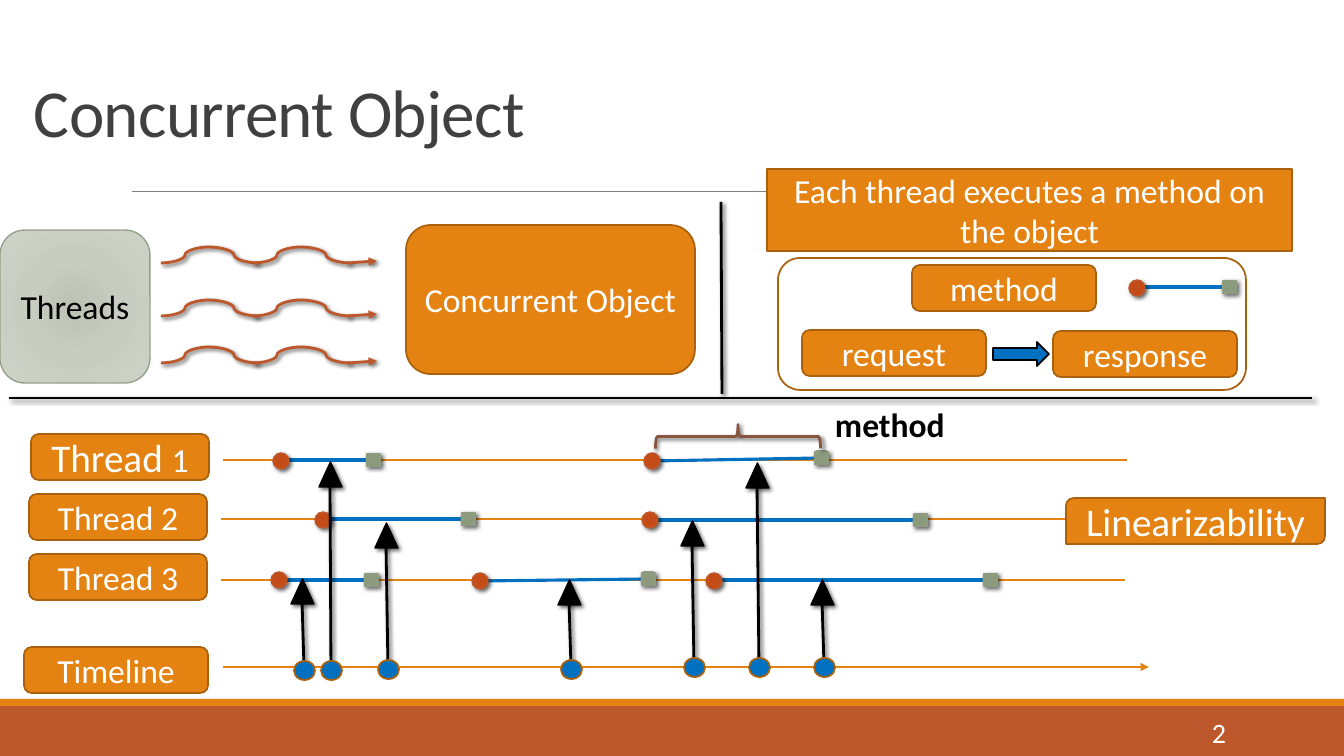
from lxml.etree import SubElement
from pptx import Presentation
from pptx.dml.color import RGBColor
from pptx.enum.shapes import MSO_CONNECTOR, MSO_SHAPE
from pptx.enum.text import MSO_ANCHOR, PP_ALIGN
from pptx.oxml import parse_xml
from pptx.oxml.ns import nsdecls, qn
from pptx.util import Pt

EMU_PER_PX = 914400 / 100.8
ORANGE, EDGE, RUST, BLUE, BLACK, WHITE = (
    "E48312", "A9610D", "BD582C", "0070C0", "000000", "FFFFFF")
RED_STOPS = [(0, "C44A15"), (34, "C34C18"), (70, "C94C15"), (100, "C45525")]
GREEN_STOPS = [(0, "8A987B"), (34, "8B997D"), (70, "8D9C7E"), (100, "94A187")]
PALE_STOPS = [(0, "BBC3B5"), (45, "C7CDC1"), (100, "CDD4C7")]

THREAD_ROWS = [
    (460, 223, (31, 434, 178, 46), [(281, 461, 373, 460), (652, 461, 821, 458)]),
    (519, 221, (29, 494, 178, 46), [(323, 520, 468, 519), (650, 520, 920, 520)]),
    (580, 221, (29, 554, 178, 46),
     [(279, 580, 371, 580), (480, 581, 648, 579), (714, 581, 990, 580)]),
]
LINEARIZATION_POINTS = [
    (331, 462, 332, 671), (387, 523, 389, 670), (303, 579, 305, 671),
    (570, 580, 572, 670), (758, 463, 760, 668), (693, 521, 695, 668),
    (823, 580, 825, 668),
]


def px(value):
    return round(value * EMU_PER_PX)


def color(hex_string):
    return RGBColor.from_string(hex_string)


def set_effects(item, shadow):
    properties = item.element.spPr
    effects = properties.find(qn("a:effectLst"))
    if effects is None:
        effects = SubElement(properties, qn("a:effectLst"))
    if shadow:
        cast = SubElement(effects, qn("a:outerShdw"), blurRad=str(Pt(3)),
                          dist=str(Pt(2)), dir="2700000", algn="tl", rotWithShape="0")
        black = SubElement(cast, qn("a:srgbClr"), val=BLACK)
        SubElement(black, qn("a:alpha"), val="60000")


def set_gradient(item, stops):
    marks = "".join(f'<a:gs pos="{position * 1000}"><a:srgbClr val="{tone}"/></a:gs>'
                    for position, tone in stops)
    gradient = parse_xml(
        f'<a:gradFill rotWithShape="1" {nsdecls("a")}><a:gsLst>{marks}</a:gsLst>'
        '<a:path path="circle"><a:fillToRect l="100000" t="100000" r="100000"'
        ' b="100000"/></a:path></a:gradFill>')
    item.element.spPr.find(qn("a:prstGeom")).addnext(gradient)


def add_block(slide, preset, box, fill=None, stops=None, edge=None, width=1.25,
              shadow=False):
    block = slide.shapes.add_shape(preset, *map(px, box))
    block.shadow.inherit = False
    if stops:
        set_gradient(block, stops)
    elif fill:
        block.fill.solid()
        block.fill.fore_color.rgb = color(fill)
    else:
        block.fill.background()
    if edge:
        block.line.color.rgb = color(edge)
        block.line.width = Pt(width)
    else:
        block.line.fill.background()
    set_effects(block, shadow)
    return block


def add_line(slide, start, end, tone, width, curved=False, arrow=False, shadow=False):
    kind = MSO_CONNECTOR.CURVE if curved else MSO_CONNECTOR.STRAIGHT
    line = slide.shapes.add_connector(kind, *map(px, (*start, *end)))
    line.line.color.rgb = color(tone)
    line.line.width = Pt(width)
    if arrow:
        SubElement(line.line._get_or_add_ln(), qn("a:tailEnd"), type="triangle")
    set_effects(line, shadow)


def write(holder, text, size=24, tone=WHITE, bold=False, align=PP_ALIGN.CENTER,
          anchor=MSO_ANCHOR.MIDDLE, wrap=True, leading=None, tracking=None):
    frame = holder.text_frame
    frame.word_wrap = wrap
    frame.vertical_anchor = anchor
    paragraph = frame.paragraphs[0]
    paragraph.alignment = align
    if leading:
        paragraph.line_spacing = leading
    run = paragraph.add_run()
    run.text = text
    run.font.name = "Calibri"
    run.font.size = Pt(size)
    run.font.bold = bold
    run.font.color.rgb = color(tone)
    if tracking:
        run.font._element.set("spc", str(tracking))


def add_text(slide, box, text, **format_options):
    write(slide.shapes.add_textbox(*map(px, box)), text, **format_options)


def add_label(slide, box, text, preset=MSO_SHAPE.ROUNDED_RECTANGLE, size=24):
    label = add_block(slide, preset, box, fill=ORANGE, edge=EDGE)
    write(label, text, size=size)
    return label


def add_method_call(slide, request_x, request_y, response_x, response_y):
    add_line(slide, (request_x, response_y if abs(request_y - response_y) < 2 else request_y),
             (response_x, response_y), BLUE, 2.25)
    add_block(slide, MSO_SHAPE.OVAL, (request_x - 8, request_y - 8, 16, 16),
              stops=RED_STOPS, edge=RUST, width=1, shadow=True)
    add_block(slide, MSO_SHAPE.RECTANGLE, (response_x - 7, response_y - 7, 15, 14),
              stops=GREEN_STOPS, shadow=True)


def add_thread_wave(slide, base):
    crest = base - 16
    for left in (161, 253):
        add_line(slide, (left, base), (left + 48, crest), RUST, 2, curved=True, shadow=True)
        add_line(slide, (left + 48, crest), (left + 98, base), RUST, 2, curved=True,
                 shadow=True)
    add_line(slide, (347, base), (377, base - 2), RUST, 2, arrow=True, shadow=True)


def add_overview(slide):
    add_label(slide, (406, 225, 289, 149), "Concurrent Object")
    for base in (263, 316, 363):
        add_thread_wave(slide, base)
    threads = add_block(slide, MSO_SHAPE.ROUNDED_RECTANGLE, (0, 230, 150, 153),
                        stops=PALE_STOPS, edge="94A088", width=1)
    write(threads, "Threads", tone=BLACK)
    add_line(slide, (721, 202), (722, 394), BLACK, 2, shadow=True)
    add_line(slide, (9, 398), (1312, 398), BLACK, 2, shadow=True)


def add_legend(slide):
    add_label(slide, (767, 169, 525, 82), "Each thread executes a method on the object",
              preset=MSO_SHAPE.RECTANGLE)
    for left, top, text in ((912, 265, "method"), (802, 330, "request"),
                            (1053, 331, "response")):
        add_label(slide, (left, top, 184, 46), text)
    add_block(slide, MSO_SHAPE.RIGHT_ARROW, (993, 342, 56, 24), fill=BLUE, edge=BLACK)
    add_block(slide, MSO_SHAPE.ROUNDED_RECTANGLE, (778, 258, 468, 132), edge=EDGE)
    add_method_call(slide, 1137, 288, 1229, 287)


def add_thread_rows(slide):
    for number, (axis, left, box, calls) in enumerate(THREAD_ROWS, 1):
        if number == 1:
            label = add_label(slide, box, "Thread ", size=28)
            write(label, "1")
        else:
            add_label(slide, box, f"Thread {number}")
        add_line(slide, (left, axis), (left + 904, axis), ORANGE, 1)
        for call in calls:
            add_method_call(slide, *call)
    brace = add_block(slide, MSO_SHAPE.LEFT_BRACE, (726, 354, 24, 165), edge="865640",
                      width=2, shadow=True)
    brace.rotation = 90
    add_text(slide, (825, 399, 131, 50), "method", tone=BLACK, bold=True,
             align=PP_ALIGN.LEFT, anchor=MSO_ANCHOR.TOP, wrap=False)


def add_timeline(slide):
    add_line(slide, (223, 667), (1149, 667), ORANGE, 1, arrow=True)
    add_label(slide, (24, 647, 184, 46), "Timeline")
    for tip_x, tip_y, dot_x, dot_y in LINEARIZATION_POINTS:
        add_block(slide, MSO_SHAPE.ISOSCELES_TRIANGLE, (tip_x - 12, tip_y, 23, 25),
                  fill=BLACK, edge=BLACK, width=1, shadow=True)
        add_line(slide, (tip_x - 1, tip_y + 20), (dot_x - 1, dot_y - 4), BLACK, 2,
                 shadow=True)
        add_block(slide, MSO_SHAPE.OVAL, (dot_x - 11, dot_y - 10, 21, 19), fill=BLUE,
                  edge=EDGE)
    add_label(slide, (1066, 498, 259, 46), "Linearizability",
              preset=MSO_SHAPE.ROUND_2_DIAG_RECTANGLE, size=28)


def main():
    deck = Presentation()
    deck.slide_width, deck.slide_height = px(1344), px(756)
    slide = deck.slides.add_slide(deck.slide_layouts[6])
    add_block(slide, MSO_SHAPE.RECTANGLE, (0, 706, 1344, 50), fill=RUST)
    add_block(slide, MSO_SHAPE.RECTANGLE, (0, 699, 1344, 7), fill=ORANGE)
    add_line(slide, (132, 191), (1231, 191), "808080", 0.5)
    add_text(slide, (24, -4, 1109, 160), "Concurrent Object", size=48, tone="404040",
             align=PP_ALIGN.LEFT, anchor=MSO_ANCHOR.BOTTOM, leading=0.85, tracking=-50)
    add_overview(slide)
    add_legend(slide)
    add_thread_rows(slide)
    add_timeline(slide)
    add_text(slide, (1092, 712, 144, 40), "2", size=20, align=PP_ALIGN.RIGHT)
    deck.save("out.pptx")


if __name__ == "__main__":
    main()
